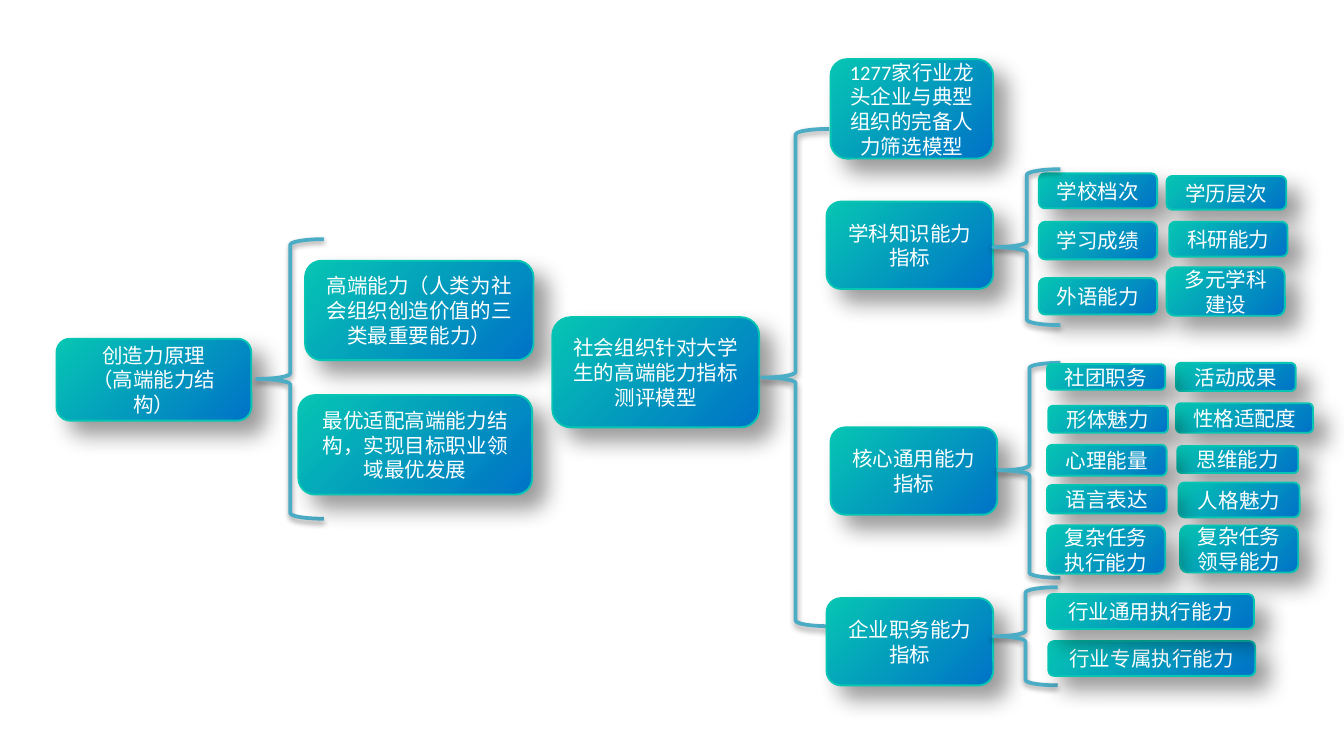
from typing import NamedTuple

from lxml.etree import SubElement
from pptx import Presentation
from pptx.dml.color import RGBColor
from pptx.enum.shapes import MSO_SHAPE
from pptx.enum.text import MSO_ANCHOR, PP_ALIGN
from pptx.oxml.ns import qn
from pptx.util import Inches, Pt

TEAL, BLUE, BRACE_BLUE, WHITE = "06C5B3", "0073C7", "4BACC6", "FFFFFF"
TEXT_FORMAT = {"name": "Calibri", "size": Pt(11)}


class Box(NamedTuple):
    left: float
    top: float
    width: float
    height: float
    text: str


class Brace(NamedTuple):
    left: float
    top: float
    width: float
    height: float


class Shadow(NamedTuple):
    opacity: int
    blur: float
    distance: float
    angle: int


BOX_SHADOW = Shadow(40, 12, 10, 45)
BRACE_SHADOW = Shadow(38, 3.1, 1.6, 90)

# Parts in drawing order, from back to front
PARTS = [
    # Principle and its two branches
    Box(0.42, 2.52, 1.45, 0.61, "创造力原理\n（高端能力结构）"),
    Brace(1.91, 1.78, 0.5, 2.08),
    Box(2.27, 1.94, 1.7, 0.74, "高端能力（人类为社会组织创造价值的三类最重要能力）"),
    Box(2.22, 2.94, 1.74, 0.74, "最优适配高端能力结构，实现目标职业领域最优发展"),
    # Assessment model and its four indicators
    Box(4.11, 2.36, 1.54, 0.82, "社会组织针对大学生的高端能力指标测评模型"),
    Brace(5.67, 0.96, 0.5, 3.7),
    Box(6.18, 0.44, 1.21, 0.74, "1277家行业龙头企业与典型组织的完备人力筛选模型"),
    Box(6.15, 1.5, 1.24, 0.65, "学科知识能力指标"),
    Box(6.18, 3.18, 1.24, 0.65, "核心通用能力指标"),
    Box(6.15, 4.45, 1.24, 0.65, "企业职务能力指标"),
    # Subject knowledge
    Box(7.73, 1.29, 0.88, 0.26, "学校档次"),
    Box(8.68, 1.31, 0.89, 0.25, "学历层次"),
    Box(7.73, 1.65, 0.88, 0.28, "学习成绩"),
    Box(8.7, 1.65, 0.88, 0.26, "科研能力"),
    Box(7.73, 2.07, 0.88, 0.27, "外语能力"),
    Box(8.68, 1.99, 0.88, 0.36, "多元学科建设"),
    Brace(7.39, 1.26, 0.5, 1.16),
    # Core general abilities
    Brace(7.43, 2.7, 0.46, 1.6),
    Box(8.75, 2.7, 0.89, 0.21, "活动成果"),
    Box(7.79, 2.71, 0.88, 0.19, "社团职务"),
    Box(8.75, 3, 1.02, 0.22, "性格适配度"),
    Box(7.8, 3.02, 0.89, 0.2, "形体魅力"),
    Box(8.76, 3.32, 0.9, 0.2, "思维能力"),
    Box(7.79, 3.31, 0.89, 0.23, "心理能量"),
    Box(8.77, 3.59, 0.9, 0.26, "人格魅力"),
    Box(7.79, 3.61, 0.89, 0.21, "语言表达"),
    Box(8.78, 3.91, 0.88, 0.35, "复杂任务领导能力"),
    Box(7.79, 3.91, 0.88, 0.36, "复杂任务执行能力"),
    # Job abilities
    Brace(7.39, 4.37, 0.48, 0.73),
    Box(7.8, 4.77, 1.54, 0.26, "行业专属执行能力"),
    Box(7.79, 4.42, 1.54, 0.26, "行业通用执行能力"),
]


def color(value: str) -> RGBColor:
    return RGBColor.from_string(value)


def add_part(slide, preset, part: Box | Brace, line: str, line_width: float, shadow: Shadow):
    """Add an outlined preset shape with an outer shadow."""
    shape = slide.shapes.add_shape(preset, *(Inches(length) for length in part[:4]))
    shape.line.color.rgb = color(line)
    shape.line.width = Pt(line_width)
    shape.shadow.inherit = False
    effects = shape._element.spPr.find(qn("a:effectLst"))
    outer = SubElement(effects, qn("a:outerShdw"), {
        "blurRad": str(Pt(shadow.blur)),
        "dist": str(Pt(shadow.distance)),
        "dir": str(shadow.angle * 60000),
        "algn": "ctr",
        "rotWithShape": "0",
    })
    black = SubElement(outer, qn("a:srgbClr"), val="000000")
    SubElement(black, qn("a:alpha"), val=str(shadow.opacity * 1000))
    return shape


def draw_brace(slide, brace: Brace) -> None:
    shape = add_part(slide, MSO_SHAPE.LEFT_BRACE, brace, BRACE_BLUE, 2, BRACE_SHADOW)
    shape.fill.background()


def draw_box(slide, box: Box) -> None:
    shape = add_part(slide, MSO_SHAPE.ROUNDED_RECTANGLE, box, TEAL, 1, BOX_SHADOW)
    # Gradient from top left to bottom right
    shape.fill.gradient()
    shape.fill.gradient_angle = 315
    for stop, position, value in zip(shape.fill.gradient_stops, (0, 1), (TEAL, BLUE)):
        stop.position = position
        stop.color.rgb = color(value)
    # Label
    frame = shape.text_frame
    frame.word_wrap = True
    frame.vertical_anchor = MSO_ANCHOR.MIDDLE
    frame.text = box.text
    for paragraph in frame.paragraphs:
        paragraph.alignment = PP_ALIGN.CENTER
        for run in paragraph.runs:
            for name, value in TEXT_FORMAT.items():
                setattr(run.font, name, value)
            run.font.color.rgb = color(WHITE)


def main() -> None:
    presentation = Presentation()
    # Widescreen format, 16:9
    presentation.slide_width = Inches(10)
    presentation.slide_height = Inches(10) * 9 // 16
    slide = presentation.slides.add_slide(presentation.slide_layouts[6])
    for part in PARTS:
        draw = draw_box if isinstance(part, Box) else draw_brace
        draw(slide, part)
    presentation.save("out.pptx")


if __name__ == "__main__":
    main()
